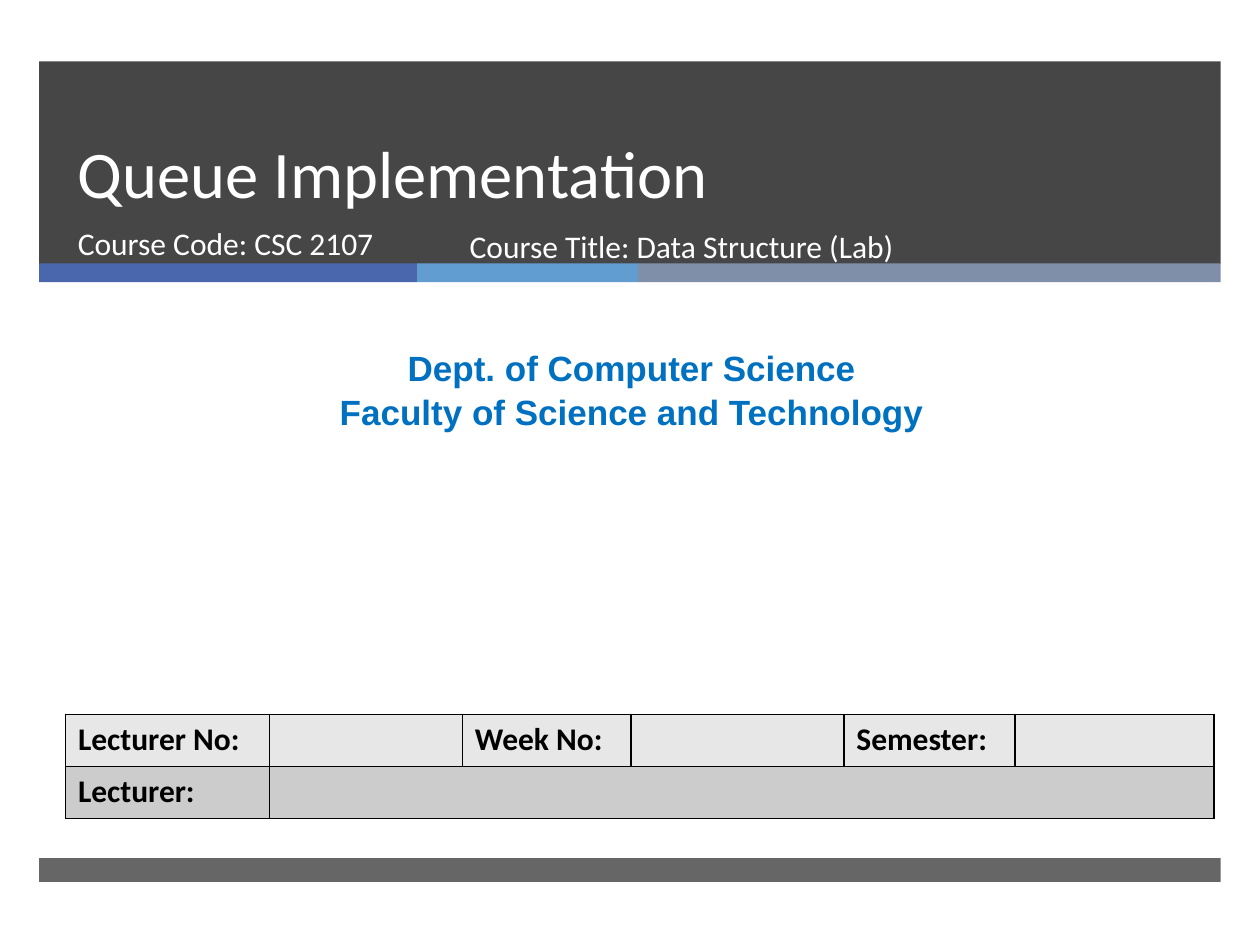
from lxml import etree
from pptx import Presentation
from pptx.dml.color import RGBColor
from pptx.enum import shapes, text
from pptx.oxml import ns
from pptx.util import Cm, Pt

DARK = RGBColor(0x26, 0x26, 0x26)
INDIGO = RGBColor(0x4A, 0x66, 0xAC)
SKY = RGBColor(0x62, 0x9D, 0xD1)
SLATE = RGBColor(0x7F, 0x8F, 0xA9)
BLUE = RGBColor(0x00, 0x70, 0xC0)
WHITE = RGBColor(0xFF, 0xFF, 0xFF)
BLACK = RGBColor(0x00, 0x00, 0x00)
LIGHT_GRAY = RGBColor(0xE7, 0xE7, 0xE7)
MID_GRAY = RGBColor(0xCC, 0xCC, 0xCC)


def format_text(frame, size, color, font="Calibri", bold=False):
    for para in frame.paragraphs:
        for span in para.runs:
            span.font.name = font
            span.font.size = Pt(size)
            span.font.bold = bold
            span.font.color.rgb = color


def add_text(page, left, top, width, height, words, size, color, **style):
    box = page.shapes.add_textbox(Cm(left), Cm(top), Cm(width), Cm(height))
    frame = box.text_frame
    frame.word_wrap = True
    frame.text = words
    format_text(frame, size, color, **style)
    return frame


deck = Presentation()
deck.slide_width = Cm(25.4)
deck.slide_height = Cm(19.05)
page = deck.slides.add_slide(deck.slide_layouts[6])

bands = [
    (0.79, 1.24, 23.82, 4.08, DARK, 85),
    (0.79, 5.31, 7.62, 0.38, INDIGO, 100),
    (8.41, 5.31, 4.45, 0.38, SKY, 100),
    (12.86, 5.31, 11.75, 0.38, SLATE, 100),
    (0.79, 17.3, 23.82, 0.48, DARK, 70),
]
for left, top, width, height, color, opacity in bands:
    band = page.shapes.add_shape(
        shapes.MSO_SHAPE.RECTANGLE, Cm(left), Cm(top), Cm(width), Cm(height))
    band.shadow.inherit = False
    band.fill.solid()
    band.fill.fore_color.rgb = color
    band.line.fill.background()
    if opacity < 100:
        tint = band._element.spPr.find(".//" + ns.qn("a:srgbClr"))
        etree.SubElement(tint, ns.qn("a:alpha"), val=str(opacity * 1000))

title = add_text(page, 1.32, 1.37, 21.69, 3.02, "Queue Implementation", 38, WHITE)
title.vertical_anchor = text.MSO_ANCHOR.BOTTOM
title.paragraphs[0].line_spacing = Pt(46)

add_text(page, 1.32, 4.39, 7.75, 1.35, "Course Code: CSC 2107", 18, WHITE)
add_text(page, 9.22, 4.45, 11.56, 1.35, "Course Title: Data Structure (Lab)", 18, WHITE)

department = add_text(
    page, 0.2, 6.81, 25.07, 1.96,
    "Dept. of Computer Science\nFaculty of Science and Technology",
    20, BLUE, font="Arial", bold=True)
for para in department.paragraphs:
    para.alignment = text.PP_ALIGN.CENTER
    para.line_spacing = 1.05

column_widths = [4.11, 3.89, 3.4, 4.29, 3.45, 4.01]
rows = [
    (["Lecturer No:", "", "Week No:", "", "Semester:", ""], LIGHT_GRAY),
    (["Lecturer:", "", "", "", "", ""], MID_GRAY),
]
table = page.shapes.add_table(
    len(rows), len(column_widths), Cm(1.32), Cm(14.4),
    Cm(sum(column_widths)), Cm(2.1)).table
for column, width in zip(table.columns, column_widths):
    column.width = Cm(width)
for row_index, (labels, shade) in enumerate(rows):
    table.rows[row_index].height = Cm(1.05)
    for column_index, label in enumerate(labels):
        cell = table.cell(row_index, column_index)
        cell.text_frame.text = label
        format_text(cell.text_frame, 18, BLACK, bold=True)
        properties = cell._tc.get_or_add_tcPr()
        for side in ("a:lnL", "a:lnR", "a:lnT", "a:lnB"):
            border = etree.SubElement(properties, ns.qn(side), w=str(Pt(1)))
            paint = etree.SubElement(border, ns.qn("a:solidFill"))
            etree.SubElement(paint, ns.qn("a:srgbClr"), val=str(BLACK))
        cell.fill.solid()
        cell.fill.fore_color.rgb = shade
table.cell(1, 1).merge(table.cell(1, 5))

deck.save("out.pptx")
